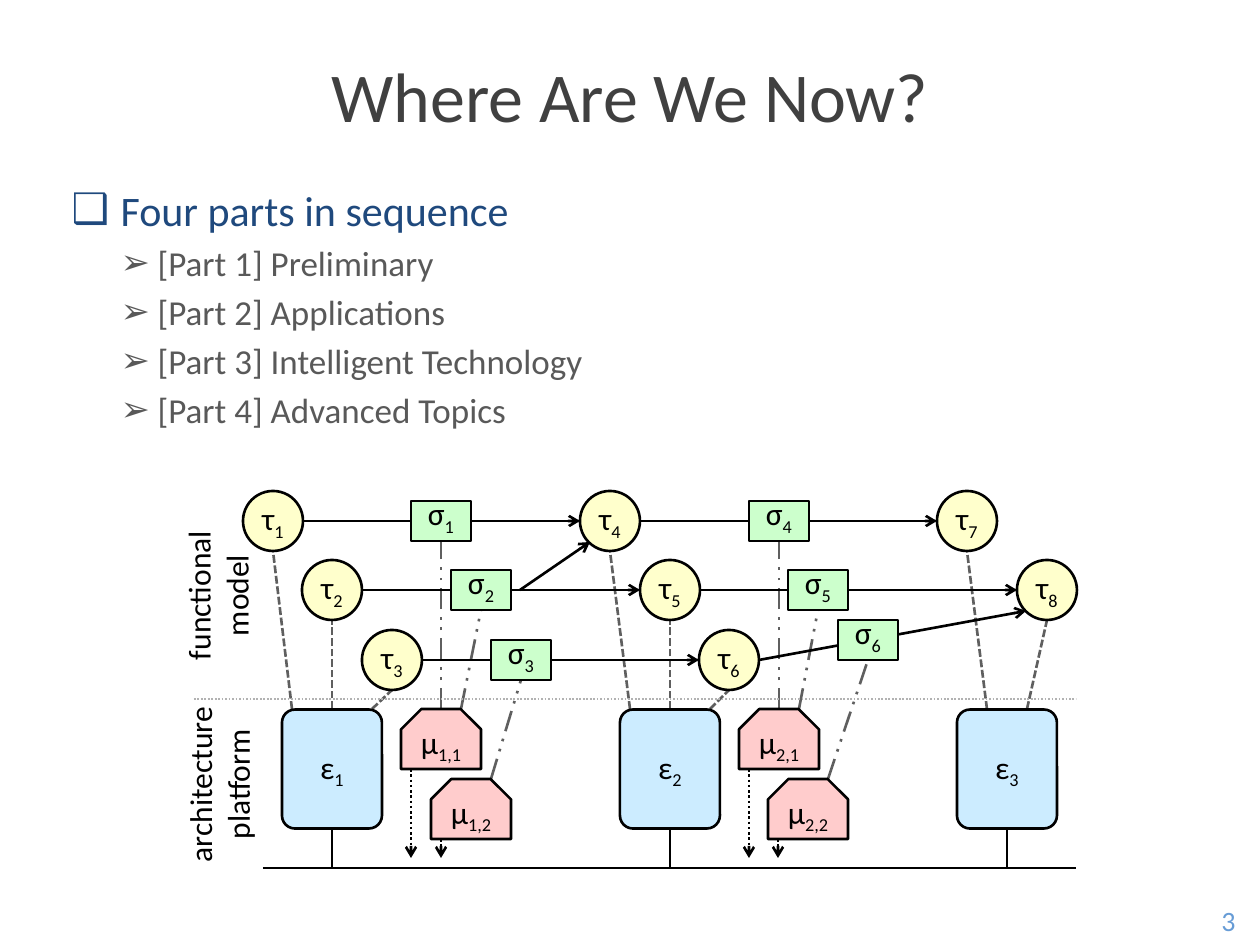
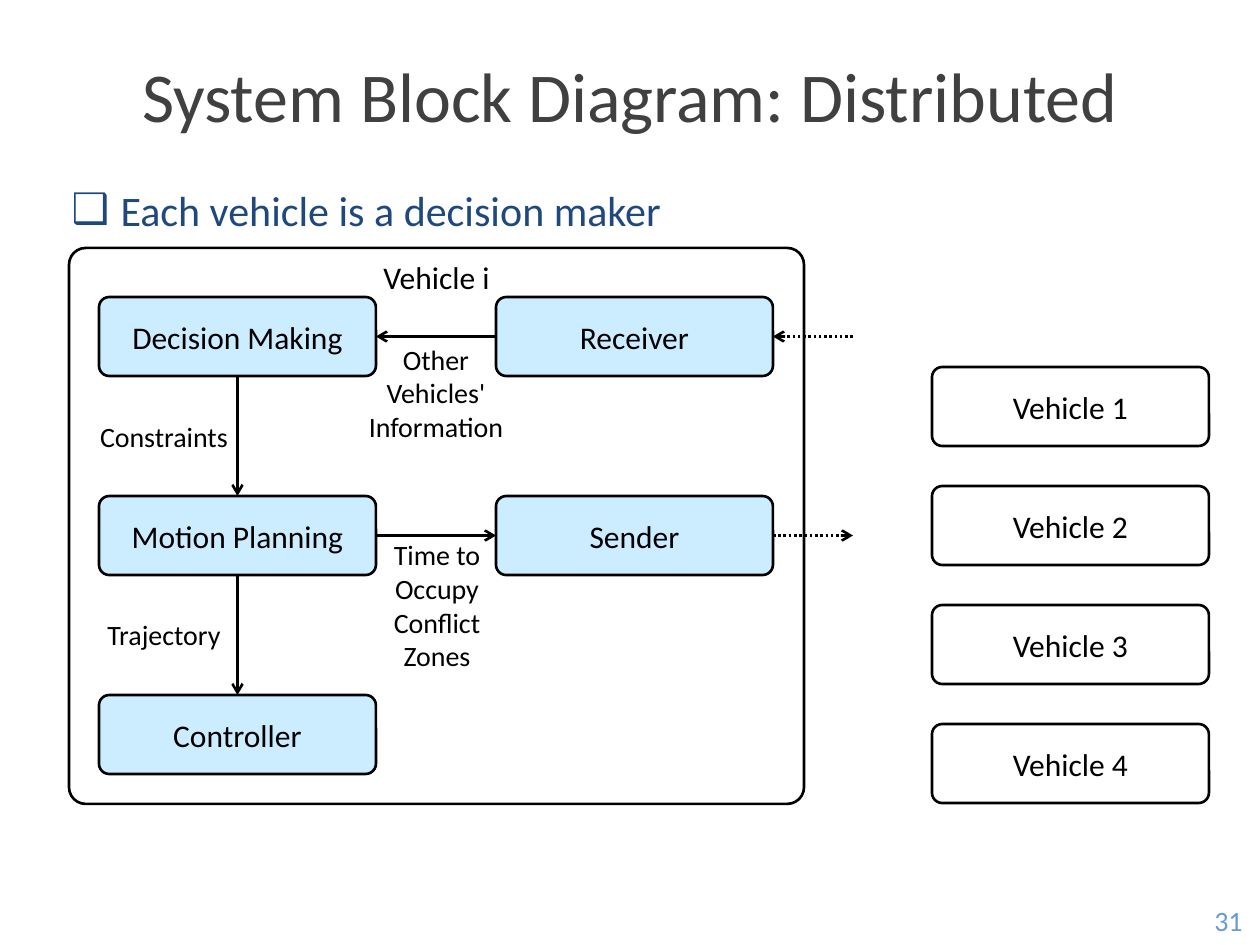
from dataclasses import dataclass
from pptx import Presentation, util as u
from pptx.dml.color import RGBColor
from pptx.enum import dml, shapes, text
from pptx.oxml.ns import qn
from lxml import etree


@dataclass(frozen=True)
class Theme:
    font: str = "Calibri"
    title: str = "404040"
    heading: str = "1F497D"
    item: str = "595959"
    page: str = "679CD6"
    ink: str = "000000"
    mapping: str = "5F5F5F"
    divider: str = "B2B2B2"
    task: str = "FFFFCC"
    signal: str = "CCFFCC"
    message: str = "FFCCCC"
    block: str = "CCECFF"
    title_size: int = 40
    heading_size: int = 24
    item_size: int = 20
    diagram_size: int = 18
    label_size: int = 16


THEME = Theme()
PX_PER_INCH = 126
SHAPE = shapes.MSO_SHAPE
DASH, DOT, LONG_DASH = dml.MSO_LINE.SQUARE_DOT, dml.MSO_LINE.ROUND_DOT, dml.MSO_LINE.DASH_DOT_DOT
NO_INSETS = (0, 0, 0, 0)
LEVELS = [
    dict(bullet="❑", margin=49, indent=49, gap=5, size=THEME.heading_size, color=THEME.heading),
    dict(bullet="➢", margin=86, indent=37, gap=4, size=THEME.item_size, color=THEME.item),
]

PARTS = dict(
    title="Where Are We Now?", page="3",
    items=[(0, "Four parts in sequence"), (1, "[Part 1] Preliminary"), (1, "[Part 2] Applications"),
           (1, "[Part 3] Intelligent Technology"), (1, "[Part 4] Advanced Topics")])
DISTRIBUTED = dict(
    title="System Block Diagram: Distributed", page="31",
    items=[(0, "Each vehicle is a decision maker")])

ROWS = (521, 590, 660)
TASKS = {"1": (273, ROWS[0]), "2": (332, ROWS[1]), "3": (392, ROWS[2]),
         "4": (610, ROWS[0]), "5": (670, ROWS[1]), "6": (729, ROWS[2]),
         "7": (967, ROWS[0]), "8": (1047, ROWS[1])}
SIGNALS = {"1": (441, ROWS[0]), "2": (481, ROWS[1]), "3": (521, ROWS[2]),
           "4": (779, ROWS[0]), "5": (818, ROWS[1]), "6": (868, 640)}
ECUS = {"1": (332, 769), "2": (670, 769), "3": (1007, 769)}
MESSAGES = {"1,1": (441, 739), "1,2": (471, 809), "2,1": (779, 739), "2,2": (808, 809)}
NODE_KINDS = [
    dict(symbol="τ", nodes=TASKS, size=(60, 60), outline=SHAPE.OVAL, fill=THEME.task),
    dict(symbol="σ", nodes=SIGNALS, size=(60, 40), outline=SHAPE.RECTANGLE, fill=THEME.signal,
         insets=(0, 0, 0, 10)),
    dict(symbol="ε", nodes=ECUS, size=(100, 119), outline=SHAPE.ROUNDED_RECTANGLE, fill=THEME.block,
         corners=[0.13]),
    dict(symbol="μ", nodes=MESSAGES, size=(80, 60), outline=SHAPE.SNIP_2_SAME_RECTANGLE,
         fill=THEME.message, corners=[0.34, 0]),
]
TASK_FLOWS = [("1", "4"), ("2", "5"), ("3", "6"), ("4", "7"), ("5", "8")]
SLANTED_FLOWS = [((520, 590), (590, 542)), ((759, 660), (1026, 611))]
TASK_MAPPING = [("1", "1", -40), ("2", "1", 0), ("3", "1", 40), ("4", "2", -40),
                ("5", "2", 0), ("6", "2", 40), ("7", "3", -20), ("8", "3", 20)]
SIGNAL_MAPPING = [("1", "1,1", 0), ("2", "1,1", 20), ("3", "1,2", 20),
                  ("4", "2,1", 0), ("5", "2,1", 20), ("6", "2,2", 20)]
DIVIDER_Y, BUS_Y, DROP_Y = 699, 868, 858
MODEL_SIDES = [("functional\nmodel", (113, 561, 208, 69)),
               ("architecture\nplatform", (119, 750, 199, 69))]

BLOCK_W, BLOCK_H = 277, 79
COLUMNS = (99, 496)
BLOCK_TOP, BLOCK_STEP = 297, 199
BLOCKS = [("Decision Making", 0, 0), ("Motion Planning", 0, 1), ("Controller", 0, 2),
          ("Receiver", 1, 0), ("Sender", 1, 1)]
VEHICLES = ["Vehicle 1", "Vehicle 2", "Vehicle 3", "Vehicle 4"]
VEHICLE_X, VEHICLE_TOP, VEHICLE_STEP = 932, 367, 119
RADIO_X = 853
FLOW_LABELS = [
    (["Constraints"], (95, 402, 138, 69)),
    (["Trajectory"], (95, 610, 138, 49)),
    (["Time to\nOccupy", "Conflict\nZones"], (382, 546, 110, 118)),
    (["Other Vehicles'", "Information"], (367, 348, 138, 89)),
]


def px(length):
    return u.Inches(length / PX_PER_INCH)


def place(part, box):
    part.left, part.top, part.width, part.height = map(px, box)


def add_run(paragraph, words, size, color, subscript=False):
    run = paragraph.add_run()
    run.text = words
    run.font.name, run.font.size = THEME.font, u.Pt(size)
    run.font.color.rgb = RGBColor.from_string(color)
    if subscript:
        run._r.get_or_add_rPr().set("baseline", "-25000")


def write(frame, paragraphs, size=THEME.diagram_size, color=THEME.ink, subscript="",
          insets=None, wrap=True, anchor=text.MSO_ANCHOR.MIDDLE):
    frame.word_wrap, frame.vertical_anchor = wrap, anchor
    if insets is not None:
        frame.margin_left, frame.margin_top, frame.margin_right, frame.margin_bottom = map(px, insets)
    for number, words in enumerate(paragraphs):
        paragraph = frame.add_paragraph() if number else frame.paragraphs[0]
        paragraph.alignment = text.PP_ALIGN.CENTER
        for row, line in enumerate(words.split("\n")):
            if row:
                paragraph.add_line_break()
            add_run(paragraph, line, size, color)
        if subscript:
            add_run(paragraph, subscript, size, color, subscript=True)


def add_label(slide, paragraphs, box, rotation=0, **style):
    label = slide.shapes.add_textbox(*map(px, box))
    label.rotation = rotation
    write(label.text_frame, paragraphs, **style)


def add_node(slide, words, box, outline=SHAPE.ROUNDED_RECTANGLE, fill=None, corners=(0.13,), **style):
    node = slide.shapes.add_shape(outline, *map(px, box))
    node.shadow.inherit = False
    for index in range(len(node.adjustments)):
        node.adjustments[index] = corners[index]
    if fill:
        node.fill.solid()
        node.fill.fore_color.rgb = RGBColor.from_string(fill)
    else:
        node.fill.background()
    node.line.color.rgb = RGBColor.from_string(THEME.ink)
    node.line.width = u.Pt(1.5)
    write(node.text_frame, [words], **style)


def add_line(slide, start, end, color=THEME.ink, width=1.5, dash=None, arrow=False):
    line = slide.shapes.add_connector(shapes.MSO_CONNECTOR.STRAIGHT, *map(px, (*start, *end)))
    line.line.color.rgb = RGBColor.from_string(color)
    line.line.width = u.Pt(width)
    if dash:
        line.line.dash_style = dash
    properties = line._element.spPr
    if arrow:
        etree.SubElement(properties.find(qn("a:ln")), qn("a:tailEnd"), type="arrow")
    etree.SubElement(properties, qn("a:effectLst"))


def add_slide(deck, content):
    slide = deck.slides.add_slide(deck.slide_layouts[1])
    title, body = slide.shapes.title, slide.placeholders[1]
    place(title, (59, 35, 1142, 118))
    write(title.text_frame, [content["title"]], THEME.title_size, THEME.title)
    place(body, (59, 178, 1142, 714))
    body.text_frame.auto_size = text.MSO_AUTO_SIZE.NONE
    for number, (depth, words) in enumerate(content["items"]):
        item = body.text_frame.add_paragraph() if number else body.text_frame.paragraphs[0]
        level = LEVELS[depth]
        properties = item._p.get_or_add_pPr()
        properties.set("marL", str(px(level["margin"])))
        properties.set("indent", str(-px(level["indent"])))
        etree.SubElement(properties, qn("a:buChar"), char=level["bullet"])
        item.level = depth
        item.space_before = u.Pt(level["gap"] if number else 0)
        add_run(item, words, level["size"], level["color"])
    add_label(slide, [content["page"]], (1197, 895, 63, 50), size=THEME.label_size, color=THEME.page)
    return slide


def draw_model(slide):
    for task, ecu, offset in TASK_MAPPING:
        (x, y), (ecu_x, ecu_y) = TASKS[task], ECUS[ecu]
        add_line(slide, (ecu_x + offset, ecu_y - 60), (x, y + 30), THEME.mapping, dash=DASH)
    for signal, message, offset in SIGNAL_MAPPING:
        (x, y), (message_x, message_y) = SIGNALS[signal], MESSAGES[message]
        add_line(slide, (message_x + offset, message_y - 30), (x, y + 20), THEME.mapping, dash=LONG_DASH)
    add_line(slide, (194, DIVIDER_Y), (1076, DIVIDER_Y), THEME.divider, 1, DOT)
    add_line(slide, (263, BUS_Y), (1076, BUS_Y))
    for x, y in ECUS.values():
        add_line(slide, (x, BUS_Y), (x, y + 59))
    for x, y in MESSAGES.values():
        add_line(slide, (x - 30, y + 30), (x - 30, DROP_Y), dash=DOT, arrow=True)
    for source, target in TASK_FLOWS:
        (x, y), (target_x, target_y) = TASKS[source], TASKS[target]
        add_line(slide, (x + 30, y), (target_x - 30, target_y), arrow=True)
    for start, end in SLANTED_FLOWS:
        add_line(slide, start, end, arrow=True)
    for kind in NODE_KINDS:
        width, height = kind["size"]
        for index, (x, y) in kind["nodes"].items():
            add_node(slide, kind["symbol"], (x - width / 2, y - height / 2, width, height),
                     kind["outline"], kind["fill"], kind.get("corners", ()),
                     subscript=index, insets=kind.get("insets", NO_INSETS))
    for side, box in MODEL_SIDES:
        add_label(slide, [side], box, rotation=270, insets=NO_INSETS)


def draw_vehicles(slide):
    add_node(slide, "Vehicle i", (69, 248, 735, 556), corners=[0.03], insets=(0, 5, 0, 0),
             wrap=False, anchor=text.MSO_ANCHOR.TOP)
    left, right = COLUMNS
    tops = [BLOCK_TOP + row * BLOCK_STEP for row in range(3)]
    receive_y, send_y = (top + BLOCK_H / 2 for top in tops[:2])
    middle = left + BLOCK_W / 2
    for above, below in zip(tops, tops[1:]):
        add_line(slide, (middle, above + BLOCK_H), (middle, below), arrow=True)
    add_line(slide, (right, receive_y), (left + BLOCK_W, receive_y), arrow=True)
    add_line(slide, (left + BLOCK_W, send_y), (right, send_y), arrow=True)
    add_line(slide, (RADIO_X, receive_y), (right + BLOCK_W, receive_y), dash=DOT, arrow=True)
    add_line(slide, (right + BLOCK_W, send_y), (RADIO_X, send_y), dash=DOT, arrow=True)
    for block, column, row in BLOCKS:
        add_node(slide, block, (COLUMNS[column], tops[row], BLOCK_W, BLOCK_H), fill=THEME.block, wrap=False)
    for number, vehicle in enumerate(VEHICLES):
        add_node(slide, vehicle, (VEHICLE_X, VEHICLE_TOP + number * VEHICLE_STEP, BLOCK_W, BLOCK_H), wrap=False)
    for paragraphs, box in FLOW_LABELS:
        add_label(slide, paragraphs, box, size=THEME.label_size, insets=NO_INSETS)


def main():
    deck = Presentation()
    deck.slide_width, deck.slide_height = px(1260), px(945)
    draw_model(add_slide(deck, PARTS))
    draw_vehicles(add_slide(deck, DISTRIBUTED))
    deck.save("out.pptx")


if __name__ == "__main__":
    main()
